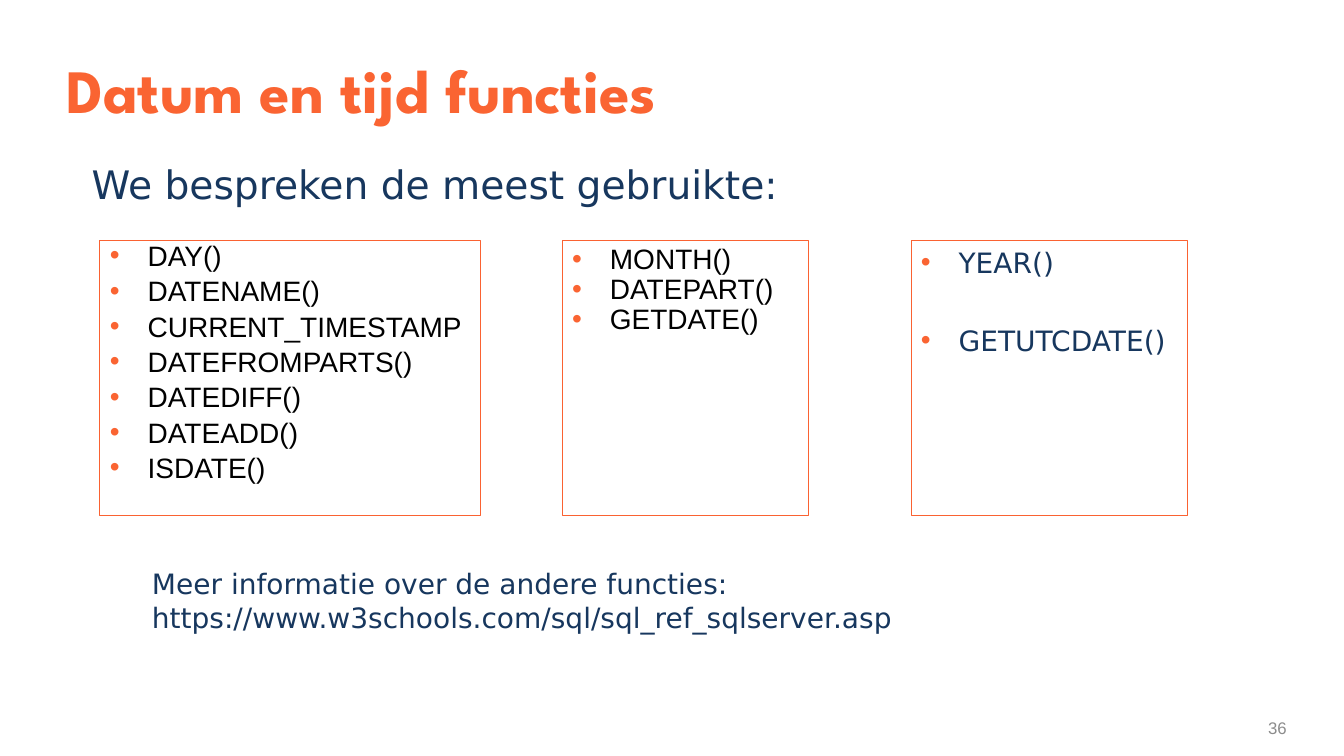
from dataclasses import dataclass

from lxml import etree
from pptx import Presentation
from pptx.dml.color import RGBColor
from pptx.enum.shapes import MSO_SHAPE
from pptx.enum.text import MSO_ANCHOR, PP_ALIGN
from pptx.oxml.ns import qn
from pptx.slide import Slide
from pptx.text.text import _Paragraph
from pptx.util import Cm, Pt

RECTANGLE = MSO_SHAPE.RECTANGLE
TOP, MIDDLE = MSO_ANCHOR.TOP, MSO_ANCHOR.MIDDLE
LEFT, RIGHT = PP_ALIGN.LEFT, PP_ALIGN.RIGHT

ORANGE, BORDER_ORANGE = "FA6432", "FA6232"
NAVY, BLACK, GREY = "17375E", "000000", "8C8C8C"
BODY_FONT, LIST_FONT, TITLE_FONT = "DejaVu Sans", "Arial", "League Spartan"

LIST_TOP, LIST_HEIGHT = 6.05, 6.93
BULLET_INDENT = Cm(0.95)


@dataclass
class TextLine:
    text: str
    left: float
    top: float
    width: float
    height: float
    size: int
    font: str = BODY_FONT
    color: str = NAVY
    bold: bool = False
    anchor: MSO_ANCHOR = TOP
    alignment: PP_ALIGN = LEFT
    line_spacing: float = 1.0
    right_inset: float = 0.25


@dataclass
class FunctionList:
    names: list[str]
    left: float
    width: float
    font: str = LIST_FONT
    color: str = BLACK
    line_spacing: float = 1.0
    space_before: int = 0
    space_after: int = 0


TEXT_LINES = [
    TextLine("Datum en tijd functies", 1.42, 0.84, 30.99, 3.1, 44, TITLE_FONT, ORANGE,
             bold=True, anchor=MIDDLE, line_spacing=0.85),
    TextLine("We bespreken de meest gebruikte:", 2.06, 3.91, 25.4, 1.93, 28),
    TextLine("Meer informatie over de andere functies: "
             "https://www.w3schools.com/sql/sql_ref_sqlserver.asp",
             3.58, 14.15, 25.4, 1.93, 20),
    TextLine("36", 30.73, 17.96, 1.7, 0.76, 12, LIST_FONT, GREY,
             anchor=MIDDLE, alignment=RIGHT, right_inset=0),
]

FUNCTION_LISTS = [
    FunctionList(["DAY()", "DATENAME()", "CURRENT_TIMESTAMP", "DATEFROMPARTS()",
                  "DATEDIFF()", "DATEADD()", "ISDATE()"],
                 2.52, 9.6, line_spacing=0.8, space_after=6),
    FunctionList(["MONTH()", "DATEPART()", "GETDATE()"], 14.17, 6.2, line_spacing=0.9),
    FunctionList(["YEAR()", "GETUTCDATE()"], 22.96, 6.96, BODY_FONT, NAVY,
                 space_before=32),
]


def rgb(value: str) -> RGBColor:
    return RGBColor.from_string(value)


def format_runs(paragraph: _Paragraph, font: str, size: int, color: str,
                bold: bool = False) -> None:
    for run in paragraph.runs:
        run.font.name = font
        run.font.size = Pt(size)
        run.font.bold = bold
        run.font.color.rgb = rgb(color)


def add_bullet(paragraph: _Paragraph) -> None:
    properties = paragraph._p.get_or_add_pPr()
    properties.set("marL", str(BULLET_INDENT))
    properties.set("indent", str(-BULLET_INDENT))
    bullet_color = etree.SubElement(properties, qn("a:buClr"))
    etree.SubElement(bullet_color, qn("a:srgbClr"), val=ORANGE)
    etree.SubElement(properties, qn("a:buFont"), typeface=LIST_FONT)
    etree.SubElement(properties, qn("a:buChar"), char="•")


def add_text_line(slide: Slide, line: TextLine) -> None:
    shape = slide.shapes.add_textbox(Cm(line.left), Cm(line.top),
                                     Cm(line.width), Cm(line.height))
    text_frame = shape.text_frame
    text_frame.word_wrap = True
    text_frame.vertical_anchor = line.anchor
    text_frame.margin_right = Cm(line.right_inset)
    text_frame.text = line.text
    paragraph = text_frame.paragraphs[0]
    paragraph.alignment = line.alignment
    paragraph.line_spacing = line.line_spacing
    format_runs(paragraph, line.font, line.size, line.color, line.bold)


def add_function_list(slide: Slide, functions: FunctionList) -> None:
    shape = slide.shapes.add_shape(RECTANGLE, Cm(functions.left), Cm(LIST_TOP),
                                   Cm(functions.width), Cm(LIST_HEIGHT))
    shape.shadow.inherit = False
    shape.fill.background()
    shape.line.color.rgb = rgb(BORDER_ORANGE)
    shape.line.width = Pt(0.75)
    text_frame = shape.text_frame
    text_frame.word_wrap = True
    text_frame.vertical_anchor = TOP
    text_frame.text = "\n".join(functions.names)
    for index, paragraph in enumerate(text_frame.paragraphs):
        paragraph.alignment = LEFT
        paragraph.line_spacing = functions.line_spacing
        paragraph.space_before = Pt(functions.space_before if index else 0)
        paragraph.space_after = Pt(functions.space_after)
        add_bullet(paragraph)
        format_runs(paragraph, functions.font, 20, functions.color)


def main() -> None:
    presentation = Presentation()
    presentation.slide_width = Cm(33.87)
    presentation.slide_height = Cm(19.05)
    slide = presentation.slides.add_slide(presentation.slide_layouts[6])
    for line in TEXT_LINES:
        add_text_line(slide, line)
    for functions in FUNCTION_LISTS:
        add_function_list(slide, functions)
    presentation.save("out.pptx")


if __name__ == "__main__":
    main()
